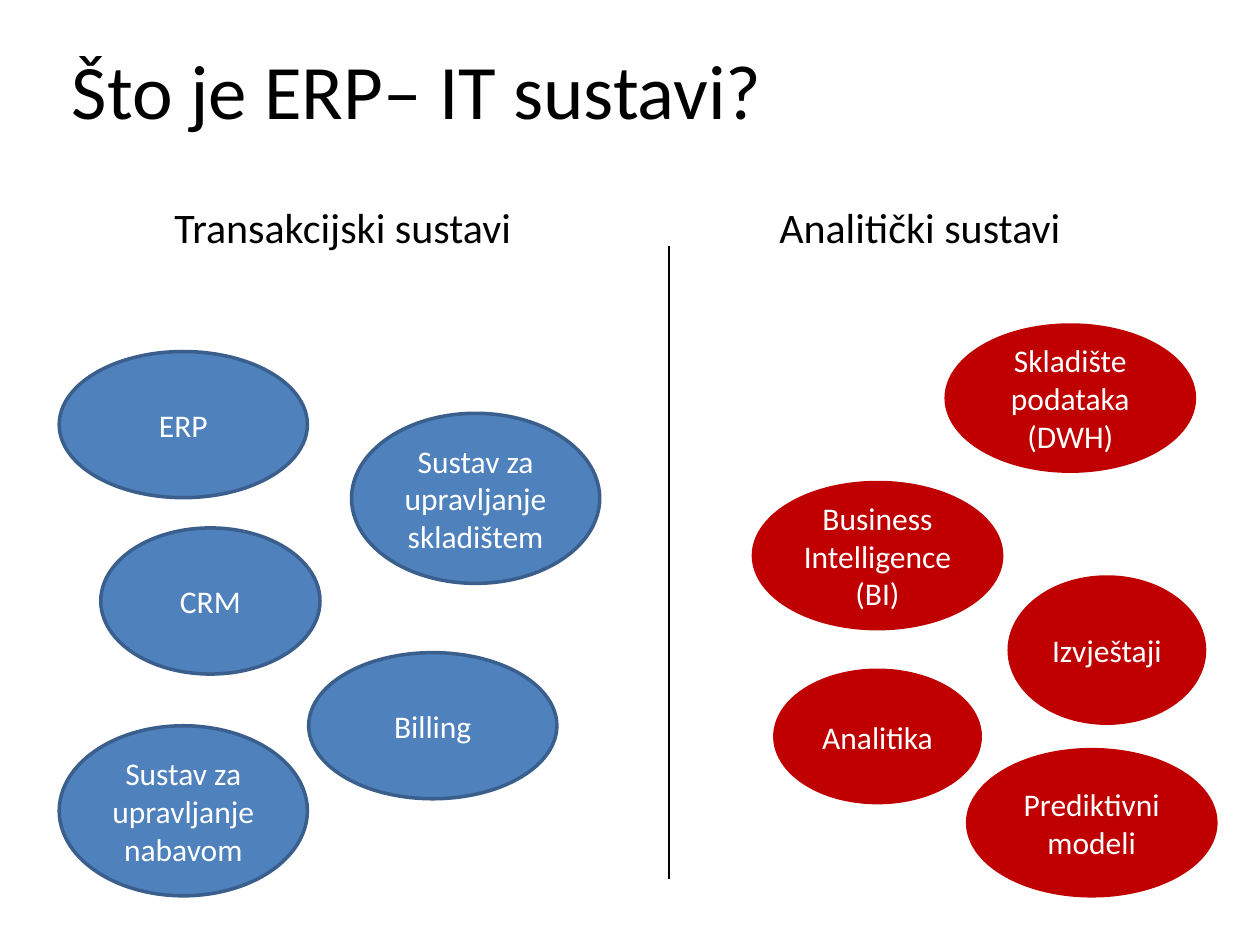
from dataclasses import dataclass

from lxml import etree
from pptx import Presentation
from pptx.dml.color import RGBColor
from pptx.enum.shapes import MSO_CONNECTOR as Connector, MSO_SHAPE as Shape
from pptx.enum.text import MSO_ANCHOR as Anchor, MSO_AUTO_SIZE as AutoSize, PP_ALIGN as Align
from pptx.oxml.ns import qn
from pptx.slide import Slide
from pptx.text.text import TextFrame
from pptx.util import Inches, Pt

BLACK = RGBColor(0x00, 0x00, 0x00)
WHITE = RGBColor(0xFF, 0xFF, 0xFF)
BLUE = RGBColor(0x4F, 0x81, 0xBD)
DARK_BLUE = RGBColor(0x3A, 0x5F, 0x8C)
RED = RGBColor(0xC0, 0x00, 0x00)
FONT = "Calibri"


@dataclass(frozen=True)
class Bubble:
    label: str
    left: float
    top: float
    width: float = 1.97
    height: float = 1.16


@dataclass(frozen=True)
class SystemGroup:
    heading: str
    heading_left: float
    fill: RGBColor
    outline: RGBColor
    bubbles: tuple[Bubble, ...]


GROUPS = (
    SystemGroup("Transakcijski sustavi", 0.91, BLUE, DARK_BLUE, (
        Bubble("ERP", 0.47, 2.79),
        Bubble("CRM", 0.8, 4.19, width=1.74),
        Bubble("Billing", 2.45, 5.18),
        Bubble("Sustav za upravljanje skladištem", 2.79, 3.28, height=1.35),
        Bubble("Sustav za upravljanje nabavom", 0.47, 5.76, height=1.35),
    )),
    SystemGroup("Analitički sustavi", 5.49, RED, RED, (
        Bubble("Skladište podataka (DWH)", 7.51, 2.58),
        Bubble("Business Intelligence (BI)", 5.98, 3.83),
        Bubble("Izvještaji", 8.01, 4.58, width=1.55),
        Bubble("Prediktivni modeli", 7.68, 5.95),
        Bubble("Analitika", 6.15, 5.32, width=1.63, height=1.05),
    )),
)


def write_text(frame: TextFrame, text: str, size: int, color: RGBColor, align: Align, anchor: Anchor) -> None:
    frame.word_wrap = True
    frame.vertical_anchor = anchor
    para = frame.paragraphs[0]
    para.alignment = align
    span = para.add_run()
    span.text = text
    span.font.name = FONT
    span.font.size = Pt(size)
    span.font.color.rgb = color


def place_title(page: Slide, text: str) -> None:
    title = page.shapes.title
    title.left, title.top = Inches(0.47), Inches(0.08)
    title.width, title.height = Inches(9.53), Inches(1.25)
    write_text(title.text_frame, text, 44, BLACK, Align.LEFT, Anchor.MIDDLE)


def draw_bubble(page: Slide, bubble: Bubble, group: SystemGroup) -> None:
    ellipse = page.shapes.add_shape(
        Shape.OVAL, Inches(bubble.left), Inches(bubble.top), Inches(bubble.width), Inches(bubble.height)
    )
    ellipse.shadow.inherit = False
    ellipse.fill.solid()
    ellipse.fill.fore_color.rgb = group.fill
    ellipse.line.color.rgb = group.outline
    ellipse.line.width = Pt(2)
    write_text(ellipse.text_frame, bubble.label, 18, WHITE, Align.CENTER, Anchor.MIDDLE)


def draw_divider(page: Slide) -> None:
    divider = page.shapes.add_connector(
        Connector.STRAIGHT, Inches(5.31), Inches(1.95), Inches(5.31), Inches(6.98)
    )
    divider.line.color.rgb = BLACK
    divider.line.width = Pt(0.75)
    etree.SubElement(divider._element.spPr, qn("a:effectLst"))


def draw_heading(page: Slide, group: SystemGroup) -> None:
    box = page.shapes.add_textbox(Inches(group.heading_left), Inches(1.55), Inches(3.62), Inches(0.5))
    write_text(box.text_frame, group.heading, 24, BLACK, Align.CENTER, Anchor.TOP)
    box.text_frame.auto_size = AutoSize.SHAPE_TO_FIT_TEXT


def main() -> None:
    deck = Presentation()
    deck.slide_width, deck.slide_height = Inches(10), Inches(7.5)
    page = deck.slides.add_slide(deck.slide_layouts[5])
    place_title(page, "Što je ERP– IT sustavi?")
    for group in GROUPS:
        for bubble in group.bubbles:
            draw_bubble(page, bubble, group)
    draw_divider(page)
    for group in GROUPS:
        draw_heading(page, group)
    deck.save("out.pptx")


if __name__ == "__main__":
    main()
